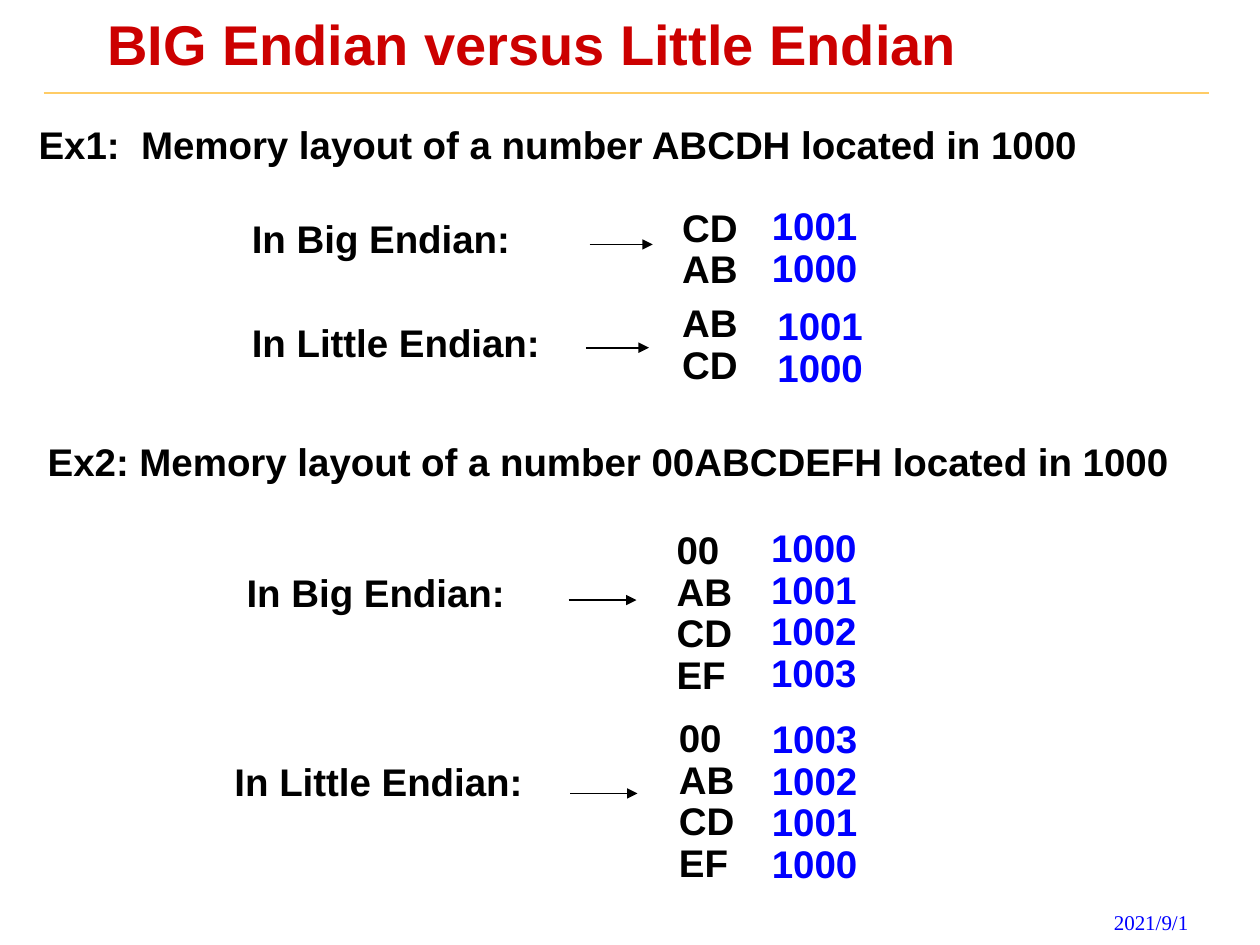
from dataclasses import dataclass

from lxml.etree import SubElement
from pptx import Presentation
from pptx.dml.color import RGBColor as RGB
from pptx.enum.shapes import MSO_CONNECTOR as CONN
from pptx.oxml.ns import qn
from pptx.util import Pt


@dataclass(frozen=True)
class Theme:
    title = dict(name="Arial", size=Pt(32), bold=True, color="CC0000")
    body = dict(name="Arial", size=Pt(22), bold=True, color="000000")
    address = dict(body, color="0000FF")
    date = dict(name="Times New Roman", size=Pt(12), bold=False, color="0000FF")
    rule = "FFCC66"
    arrow = "000000"
    line_pitch = 23.75
    inset = (7.2, 3.6)
    tight = (5, 2)


class SlideBuilder:
    """Draws styled elements on one slide, with all lengths in points."""

    def __init__(self, slide, theme):
        self.s, self.theme = slide, theme

    def text(self, lines, x, y, w, style, spacing=0.9, inset=None, h=None):
        dx, dy = inset or self.theme.inset
        h = h or len(lines) * self.theme.line_pitch + 2 * dy
        tf = self.s.shapes.add_textbox(Pt(x), Pt(y), Pt(w), Pt(h)).text_frame
        frame = dict(word_wrap=True, margin_left=Pt(dx), margin_right=Pt(dx),
                     margin_top=Pt(dy), margin_bottom=Pt(dy))
        for key, value in frame.items():
            setattr(tf, key, value)
        for i, line in enumerate(lines):
            p = tf.paragraphs[0] if i == 0 else tf.add_paragraph()
            p.line_spacing = spacing
            r = p.add_run()
            r.text = line
            for key, value in style.items():
                if key == "color":
                    r.font.color.rgb = RGB.from_string(value)
                else:
                    setattr(r.font, key, value)

    def line(self, x1, x2, y, color, arrow=False):
        sp = self.s.shapes.add_connector(CONN.STRAIGHT, Pt(x1), Pt(y), Pt(x2), Pt(y))
        sp.line.color.rgb = RGB.from_string(color)
        sp.line.width = Pt(1)
        if arrow:
            SubElement(sp.line._get_or_add_ln(), qn("a:tailEnd"), type="triangle")
        SubElement(sp._element.spPr, qn("a:effectLst"))

    def layout_row(self, label, label_at, arrow, cells, cells_at, addresses, addresses_at):
        t = self.theme
        self.text([label], *label_at, 190, t.body)
        self.line(*arrow, t.arrow, arrow=True)
        self.text(cells.split(), *cells_at, 50, t.body)
        self.text(addresses.split(), *addresses_at, 64, t.address)


def main():
    prs = Presentation()
    prs.slide_width, prs.slide_height = Pt(720), Pt(540)
    theme = Theme()
    b = SlideBuilder(prs.slides.add_slide(prs.slide_layouts[6]), theme)

    b.text(["2021/9/1"], 631.5, 517.7, 58, theme.date, 1, theme.tight, 18.7)
    b.line(25, 691, 53.3, theme.rule)
    b.text(["BIG Endian versus Little Endian"], 56.2, 8.6, 555, theme.title,
           0.87, theme.tight, 37.4)
    b.text(["Ex1:  Memory layout of a number ABCDH located in 1000"],
           15, 68.4, 693, theme.body)
    b.text(["Ex2: Memory layout of a number 00ABCDEFH located in 1000"],
           20.2, 249.8, 676, theme.body)

    big, little = "In Big Endian:", "In Little Endian:"
    rows = [
        (big, (136.8, 122.4), (337, 373, 139.7),
         "CD AB", (382.8, 115.9), "1001 1000", (434, 115.2)),
        (little, (136.8, 181.6), (334.8, 370.8, 198.7),
         "AB CD", (382.8, 170.4), "1001 1000", (437.2, 172.1)),
        (big, (133.8, 324.9), (325, 363.7, 342.9),
         "00 AB CD EF", (379.6, 300.1), "1000 1001 1002 1003", (433.6, 298.9)),
        (little, (126.9, 432.9), (326, 364.3, 453.4),
         "00 AB CD EF", (380.9, 407.6), "1003 1002 1001 1000", (434, 408.1)),
    ]
    for row in rows:
        b.layout_row(*row)
    prs.save("out.pptx")


if __name__ == "__main__":
    main()
